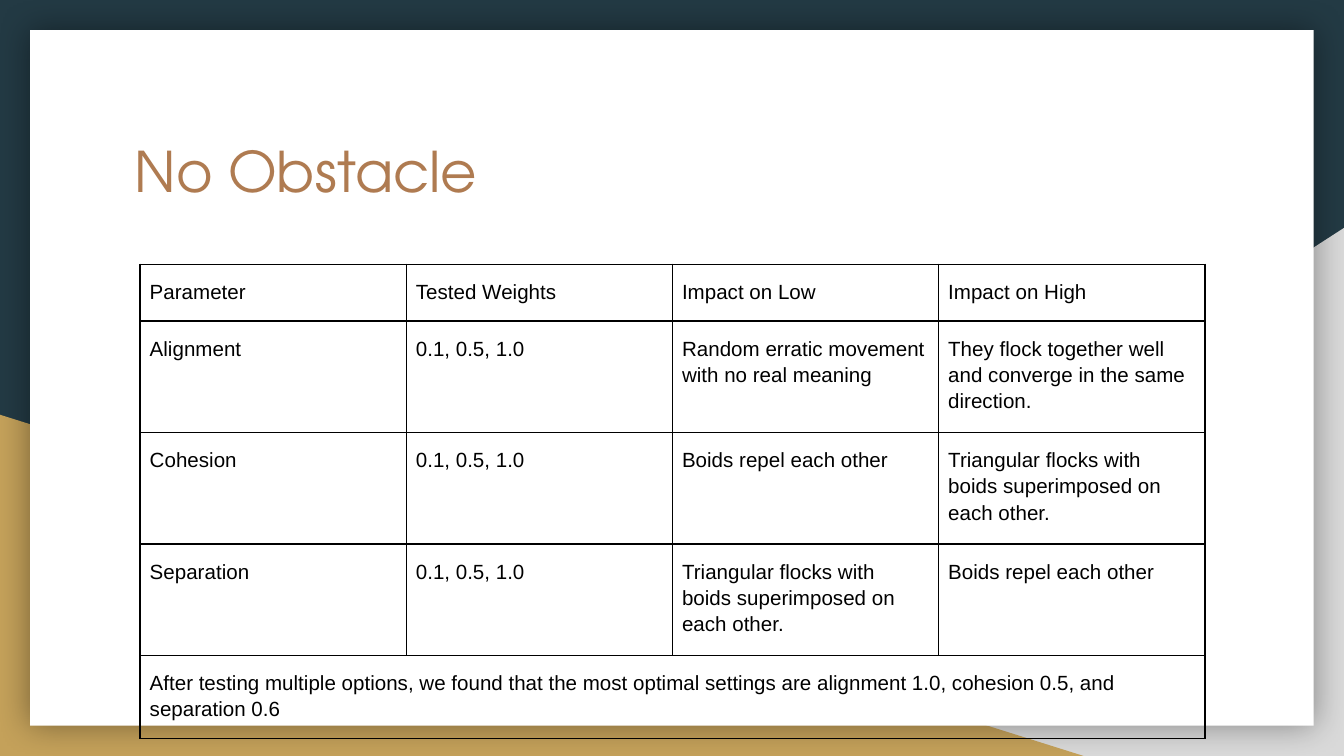
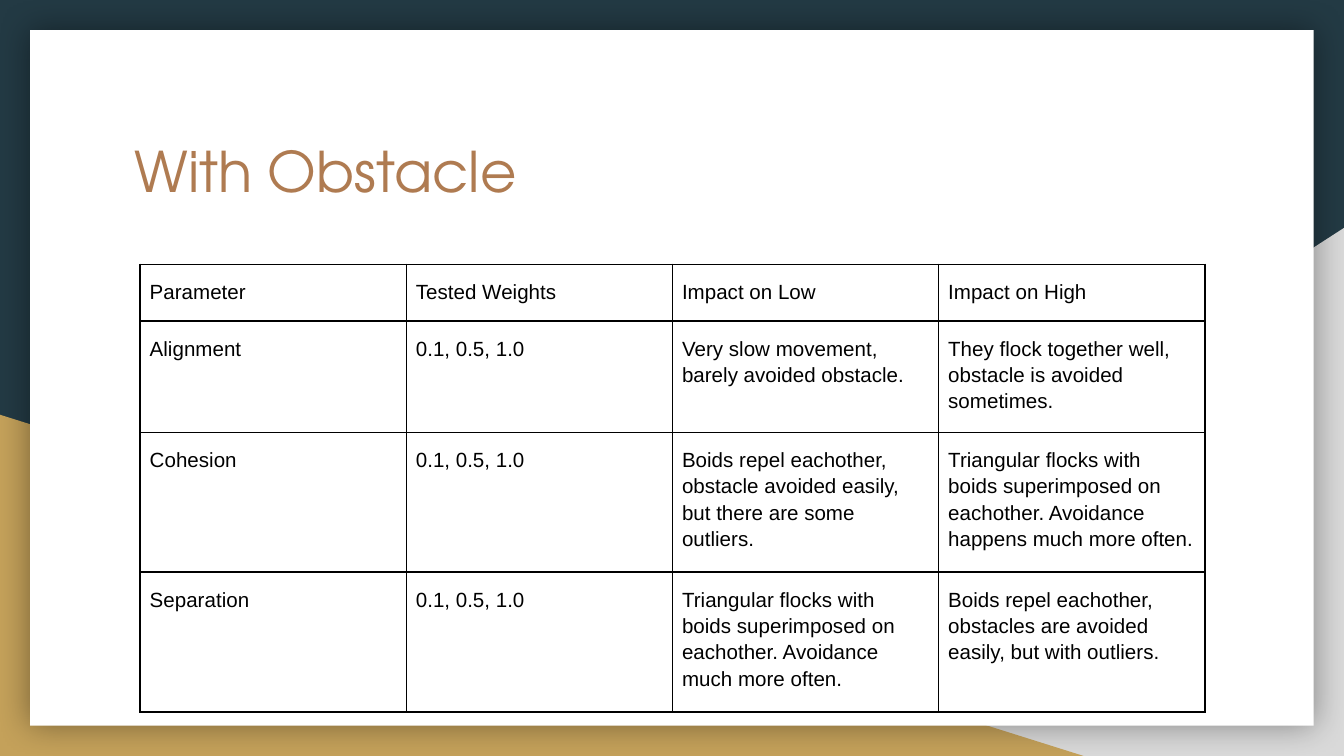
from lxml.etree import SubElement
from pptx import Presentation
from pptx.dml.color import RGBColor
from pptx.enum.shapes import MSO_SHAPE as Shape
from pptx.enum.text import MSO_ANCHOR as Anchor
from pptx.oxml import parse_xml
from pptx.oxml.ns import nsdecls, qn
from pptx.util import Cm, Pt

# Content
HEADER = ("Parameter", "Tested Weights", "Impact on Low", "Impact on High")
WEIGHTS = "0.1, 0.5, 1.0"
SLIDES = [
    {
        "title": "No Obstacle",
        "impacts": [
            ("Alignment", "Random erratic movement with no real meaning",
             "They flock together well and converge in the same direction."),
            ("Cohesion", "Boids repel each other",
             "Triangular flocks with boids superimposed on each other."),
            ("Separation", "Triangular flocks with boids superimposed on each other.",
             "Boids repel each other"),
        ],
        "summary": "After testing multiple options, we found that the most optimal "
                   "settings are alignment 1.0, cohesion 0.5, and separation 0.6",
    },
    {
        "title": "With Obstacle",
        "impacts": [
            ("Alignment", "Very slow movement, barely avoided obstacle.",
             "They flock together well, obstacle is avoided sometimes."),
            ("Cohesion", "Boids repel eachother, obstacle avoided easily, "
                         "but there are some outliers.",
             "Triangular flocks with boids superimposed on eachother. "
             "Avoidance happens much more often."),
            ("Separation", "Triangular flocks with boids superimposed on eachother. "
                           "Avoidance much more often.",
             "Boids repel eachother, obstacles are avoided easily, but with outliers."),
        ],
        "summary": None,
    },
]

# Shared look
WIDTH, HEIGHT = 25.4, 14.29
NAVY, GREY, GOLD, WHITE = "233A44", "D9D9D9", "C4A15A", "FFFFFF"
BROWN, BLACK = "AF7B51", "000000"
SHEET_MARGIN = 0.57
TITLE_BOX = (2.29, 2.34, 20.85, 2.64)
TITLE_FONT = {"name": "TeX Gyre Adventor", "size": Pt(30)}
CELL_FONT = {"name": "Arial", "size": Pt(11)}
TABLE_LEFT, TABLE_TOP = 2.65, 5.0
COL_WIDTH, ROW_HEIGHT = 5.03, 1.07
CELL_FORMAT = {"margin_left": Cm(0.18), "margin_right": Cm(0.18),
               "margin_top": Cm(0.25), "margin_bottom": Cm(0.25)}


def color(hex_code):
    return RGBColor.from_string(hex_code)


def apply(target, values):
    for name, value in values.items():
        setattr(target, name, value)


def write(tf, text, font, hex_code):
    p = tf.paragraphs[0]
    r = p.add_run()
    r.text = text
    apply(r.font, font)
    r.font.color.rgb = color(hex_code)
    return p


def add_filled(slide, kind, box, hex_code):
    s = slide.shapes.add_shape(kind, *map(Cm, box))
    s.shadow.inherit = False
    s.fill.solid()
    s.fill.fore_color.rgb = color(hex_code)
    s.line.fill.background()
    return s


def add_backdrop(slide):
    slide.background.fill.solid()
    slide.background.fill.fore_color.rgb = color(NAVY)

    # Corner triangles, both resting on the bottom edge
    for w, h, hex_code, at_right in ((15.44, 9.98, GREY, True), (20.48, 6.45, GOLD, False)):
        left = WIDTH - w if at_right else 0
        s = add_filled(slide, Shape.RIGHT_TRIANGLE, (left, HEIGHT - h, w, h), hex_code)
        if at_right:
            s._element.spPr.find(qn("a:xfrm")).set("flipH", "1")

    # White sheet with a soft shadow all round
    m = SHEET_MARGIN
    sheet = add_filled(slide, Shape.RECTANGLE, (m, m, WIDTH - 2 * m, HEIGHT - 2 * m), WHITE)
    effects = sheet._element.spPr.find(qn("a:effectLst"))
    effects.append(parse_xml(
        f'<a:outerShdw {nsdecls("a")} blurRad="{Pt(18)}" dist="0" dir="0" algn="ctr" '
        f'rotWithShape="0"><a:srgbClr val="{BLACK}"><a:alpha val="40000"/></a:srgbClr>'
        '</a:outerShdw>'))


def add_title(slide, text):
    tf = slide.shapes.add_textbox(*map(Cm, TITLE_BOX)).text_frame
    inset = Cm(0.25)
    apply(tf, {"word_wrap": True, "vertical_anchor": Anchor.TOP,
               "margin_left": inset, "margin_right": inset,
               "margin_top": inset, "margin_bottom": inset})
    write(tf, text, TITLE_FONT, BROWN)


def style_cell(cell):
    apply(cell, CELL_FORMAT)
    tcPr = cell._tc.get_or_add_tcPr()
    for side in ("lnL", "lnR", "lnT", "lnB"):
        ln = SubElement(tcPr, qn(f"a:{side}"), w=str(Pt(1)))
        fill = SubElement(ln, qn("a:solidFill"))
        SubElement(fill, qn("a:srgbClr"), val=BLACK)
    cell.fill.background()


def add_results(slide, impacts, summary):
    rows = [HEADER] + [(name, WEIGHTS, low, high) for name, low, high in impacts]
    if summary:
        rows.append((summary,))
    n_cols = len(HEADER)
    table = slide.shapes.add_table(
        len(rows), n_cols, Cm(TABLE_LEFT), Cm(TABLE_TOP),
        Cm(COL_WIDTH * n_cols), Cm(ROW_HEIGHT * len(rows))).table
    apply(table, {"first_row": False, "horz_banding": False})
    for col in table.columns:
        col.width = Cm(COL_WIDTH)
    for row in table.rows:
        row.height = Cm(ROW_HEIGHT)
    for cell in table.iter_cells():
        style_cell(cell)

    for i, texts in enumerate(rows):
        for j, text in enumerate(texts):
            p = write(table.cell(i, j).text_frame, text, CELL_FONT, BLACK)
            p.line_spacing = 1.15

    # The summary spans the whole last row
    if summary:
        last = len(rows) - 1
        cell = table.cell(last, 0)
        cell.merge(table.cell(last, n_cols - 1))
        apply(cell.text_frame.paragraphs[0], {"space_before": Pt(12), "space_after": Pt(12)})


def main():
    prs = Presentation()
    prs.slide_width, prs.slide_height = Cm(WIDTH), Cm(HEIGHT)
    for content in SLIDES:
        slide = prs.slides.add_slide(prs.slide_layouts[6])
        add_backdrop(slide)
        add_title(slide, content["title"])
        add_results(slide, content["impacts"], content["summary"])
    prs.save("out.pptx")


if __name__ == "__main__":
    main()
